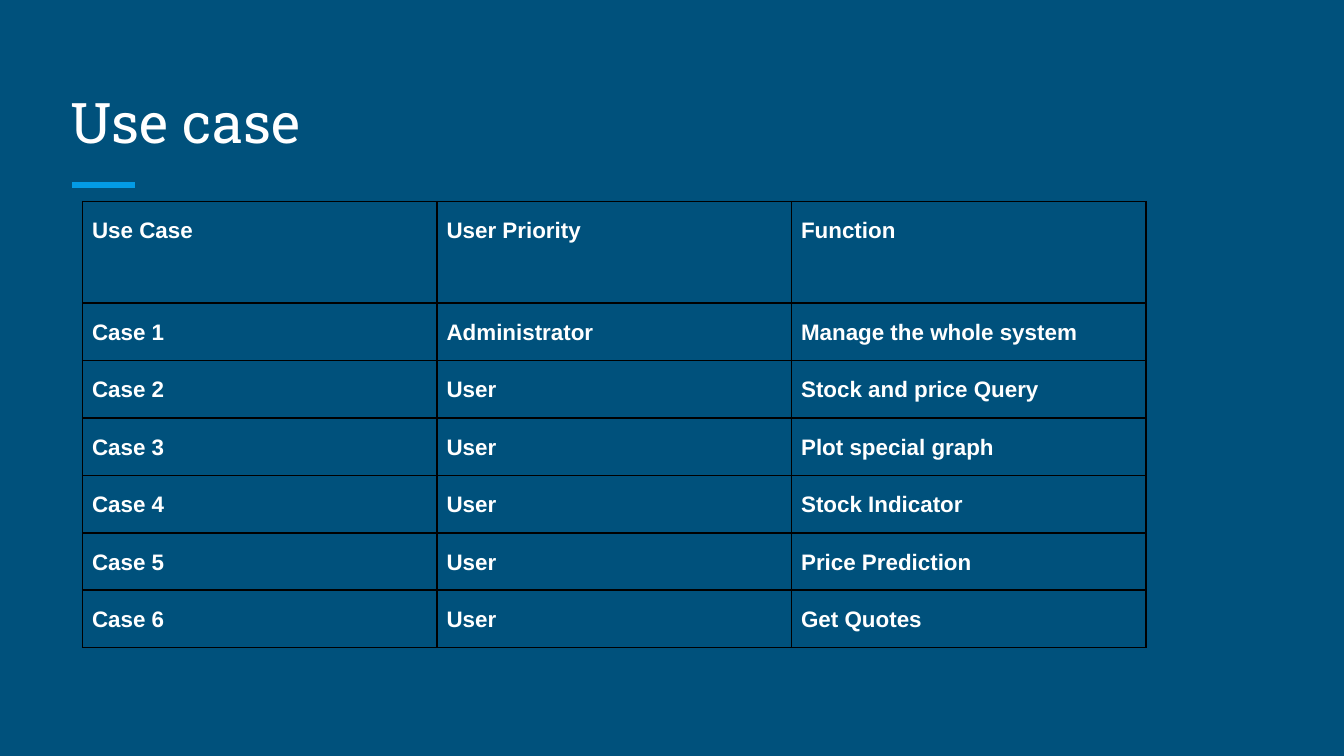
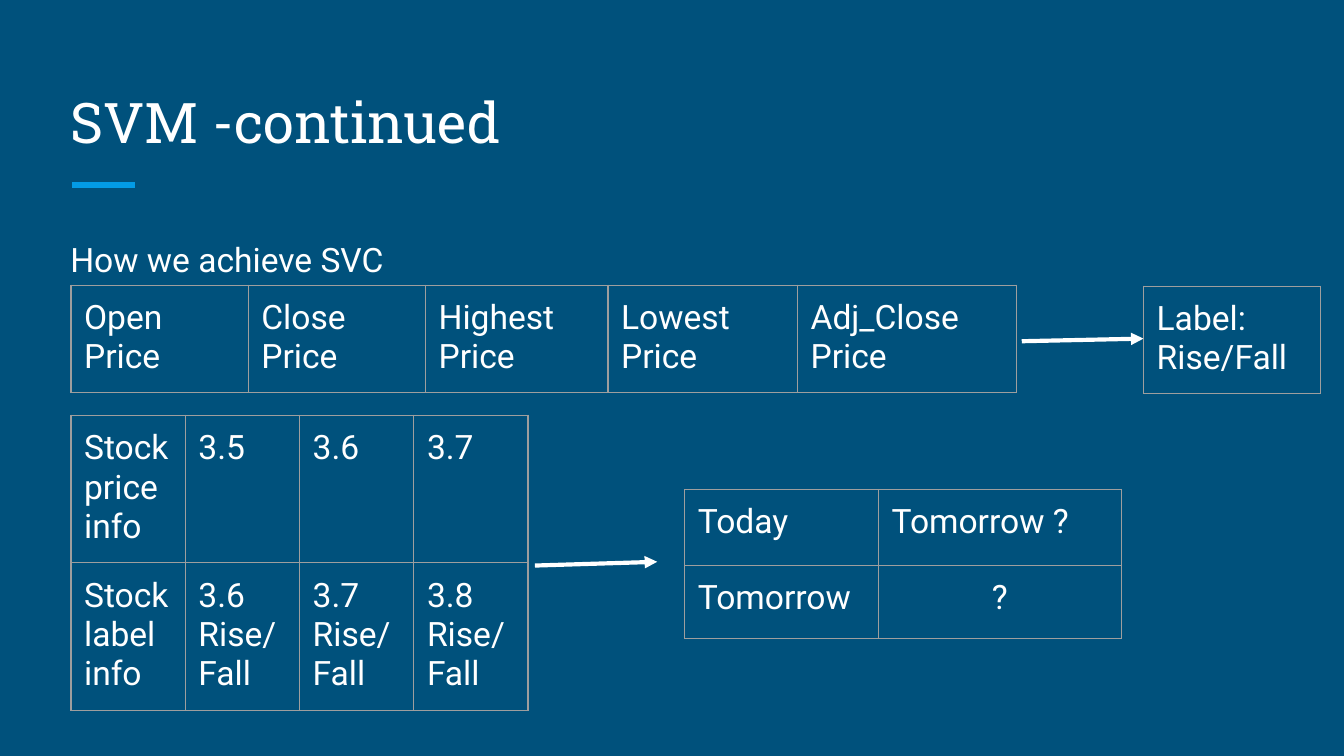
"""Build two slides on stock use cases and the SVM method."""
from lxml.etree import SubElement
from pptx import Presentation
from pptx.dml.color import RGBColor
from pptx.enum.shapes import MSO_CONNECTOR
from pptx.enum.text import MSO_ANCHOR, PP_ALIGN
from pptx.oxml.ns import qn
from pptx.util import Cm, Pt

NAVY, BLUE, WHITE, BLACK, GREY = "00517C", "039BE5", "FFFFFF", "000000", "9E9E9E"
PAD = 0.25
ROW = 1.05


def rgb(value):
    return RGBColor.from_string(value)


def style_text(tf, font, size, bold=False, spacing=None):
    for p in tf.paragraphs:
        if spacing:
            p.line_spacing = spacing
        for r in p.runs:
            r.font.name = font
            r.font.size = Pt(size)
            r.font.bold = bold
            r.font.color.rgb = rgb(WHITE)


def add_text(slide, box, text, font, size, anchor=MSO_ANCHOR.TOP, spacing=None):
    tf = slide.shapes.add_textbox(*map(Cm, box)).text_frame
    tf.word_wrap = True
    tf.vertical_anchor = anchor
    tf.margin_left = tf.margin_right = tf.margin_top = tf.margin_bottom = Cm(PAD)
    tf.text = text
    style_text(tf, font, size, spacing=spacing)


def add_line(slide, start, end, color, width, arrow=False):
    line = slide.shapes.add_connector(MSO_CONNECTOR.STRAIGHT, *map(Cm, start + end))
    line.line.color.rgb = rgb(color)
    line.line.width = Pt(width)
    if arrow:
        SubElement(line.line._get_or_add_ln(), qn("a:tailEnd"), type="triangle")
    SubElement(line._element.spPr, qn("a:effectLst"))


def add_borders(cell, color, width):
    tcPr = cell._tc.get_or_add_tcPr()
    for side in ("a:lnL", "a:lnR", "a:lnT", "a:lnB"):
        ln = SubElement(tcPr, qn(side), w=str(Pt(width)))
        SubElement(SubElement(ln, qn("a:solidFill")), qn("a:srgbClr"), val=color)


def add_table(slide, left, top, cols, rows, texts, border=(GREY, 0.75),
              font="Roboto", size=18, bold=False, spacing=None, side_pad=PAD):
    table = slide.shapes.add_table(len(rows), len(cols), Cm(left), Cm(top),
                                   Cm(sum(cols)), Cm(sum(rows))).table
    table.first_row = table.horz_banding = False
    for column, width in zip(table.columns, cols):
        column.width = Cm(width)
    for row, height, values in zip(table.rows, rows, texts):
        row.height = Cm(height)
        for cell, text in zip(row.cells, values):
            cell.text = text
            cell.margin_left = cell.margin_right = Cm(side_pad)
            cell.margin_top = cell.margin_bottom = Cm(PAD)
            style_text(cell.text_frame, font, size, bold, spacing)
            add_borders(cell, *border)
            cell.fill.background()
    return table


def add_slide(prs, title):
    slide = prs.slides.add_slide(prs.slide_layouts[6])
    fill = slide.background.fill
    fill.solid()
    fill.fore_color.rgb = rgb(NAVY)
    add_line(slide, (1.37, 3.5), (2.55, 3.5), BLUE, 3)
    add_text(slide, (1.08, 1.27, 23.24, 1.91), title, "Roboto Slab", 30,
             MSO_ANCHOR.BOTTOM)
    return slide


def build_use_cases(prs):
    slide = add_slide(prs, "Use case")
    functions = ["Manage the whole system", "Stock and price Query",
                 "Plot special graph", "Stock Indicator", "Price Prediction",
                 "Get Quotes"]
    texts = [("Use Case", "User Priority", "Function")]
    for number, function in enumerate(functions, 1):
        user = "Administrator" if number == 1 else "User"
        texts.append((f"Case {number}", user, function))
    add_table(slide, 1.56, 3.81, [6.7] * 3, [1.92] + [ROW] * len(functions), texts,
              border=(BLACK, 1), font="Arial", size=12, bold=True, spacing=1.15,
              side_pad=0.18)


def build_svm(prs):
    slide = add_slide(prs, "SVM -continued")
    add_text(slide, (1.08, 4.15, 23.24, 8.56), "How we achieve SVC", "Roboto", 18,
             spacing=1.15)
    features = [f"{name} Price" for name in
                ("Open", "Close", "Highest", "Lowest", "Adj_Close")]
    add_table(slide, 1.34, 5.39, [3.35, 3.35, 3.45, 3.58, 4.14], [ROW], [features])
    add_line(slide, (19.31, 6.45), (21.61, 6.4), WHITE, 2.25, arrow=True)
    add_table(slide, 21.61, 5.41, [3.34], [ROW], [["Label: Rise/Fall"]])

    labels = [f"{price}\nRise/\nFall" for price in ("3.6", "3.7", "3.8")]
    add_table(slide, 1.34, 7.85, [2.16] * 4, [ROW] * 2,
              [["Stock price info", "3.5", "3.6", "3.7"],
               ["Stock label info"] + labels])
    add_line(slide, (10.11, 10.69), (12.42, 10.62), WHITE, 2.25, arrow=True)
    forecast = add_table(slide, 12.94, 9.25, [3.66, 4.59], [1.44, 1.38],
                         [["Today", "Tomorrow ?"], ["Tomorrow", "?"]])
    forecast.cell(1, 1).text_frame.paragraphs[0].alignment = PP_ALIGN.CENTER


def main():
    prs = Presentation()
    prs.slide_width, prs.slide_height = Cm(25.4), Cm(14.29)
    build_use_cases(prs)
    build_svm(prs)
    prs.save("out.pptx")


main()
